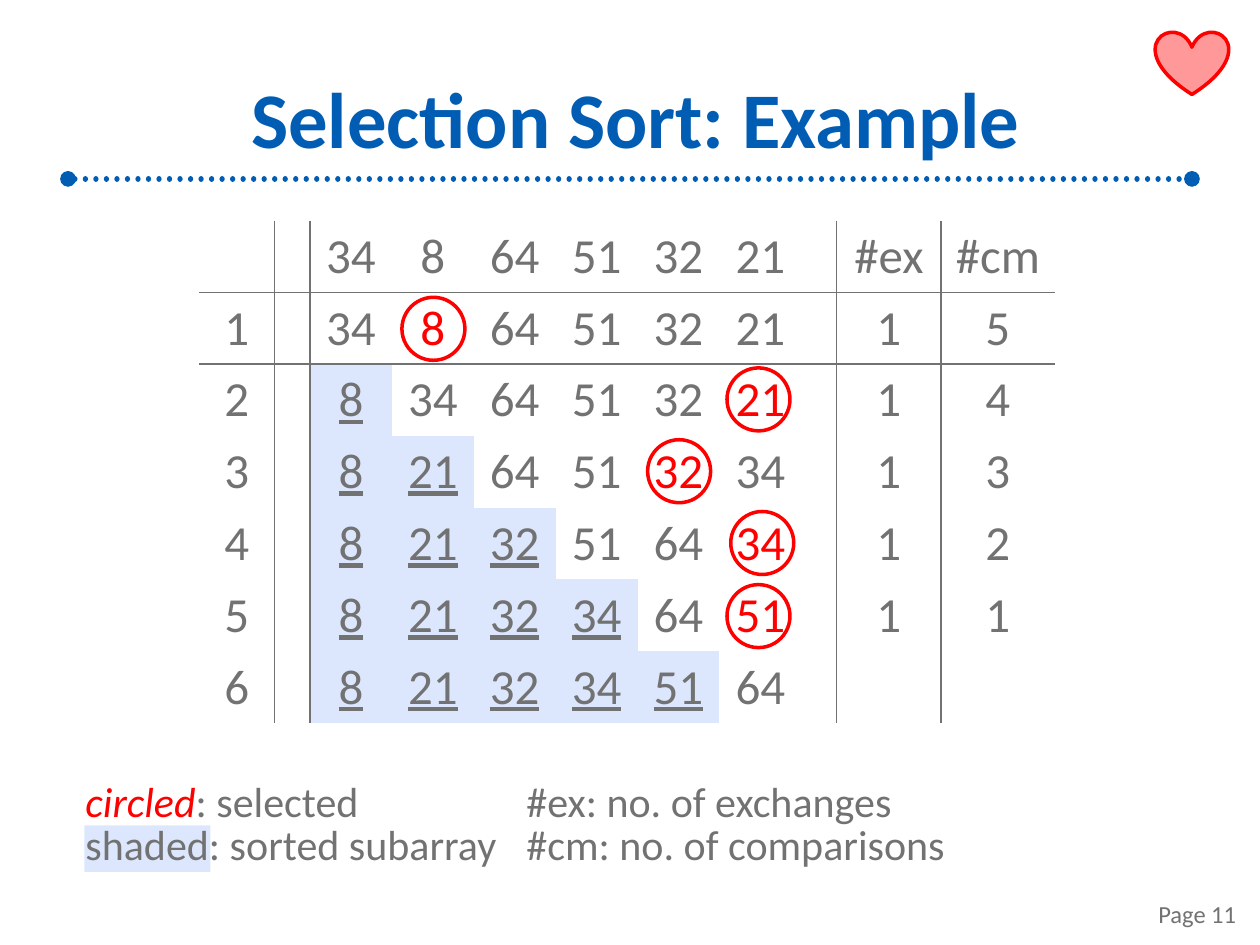
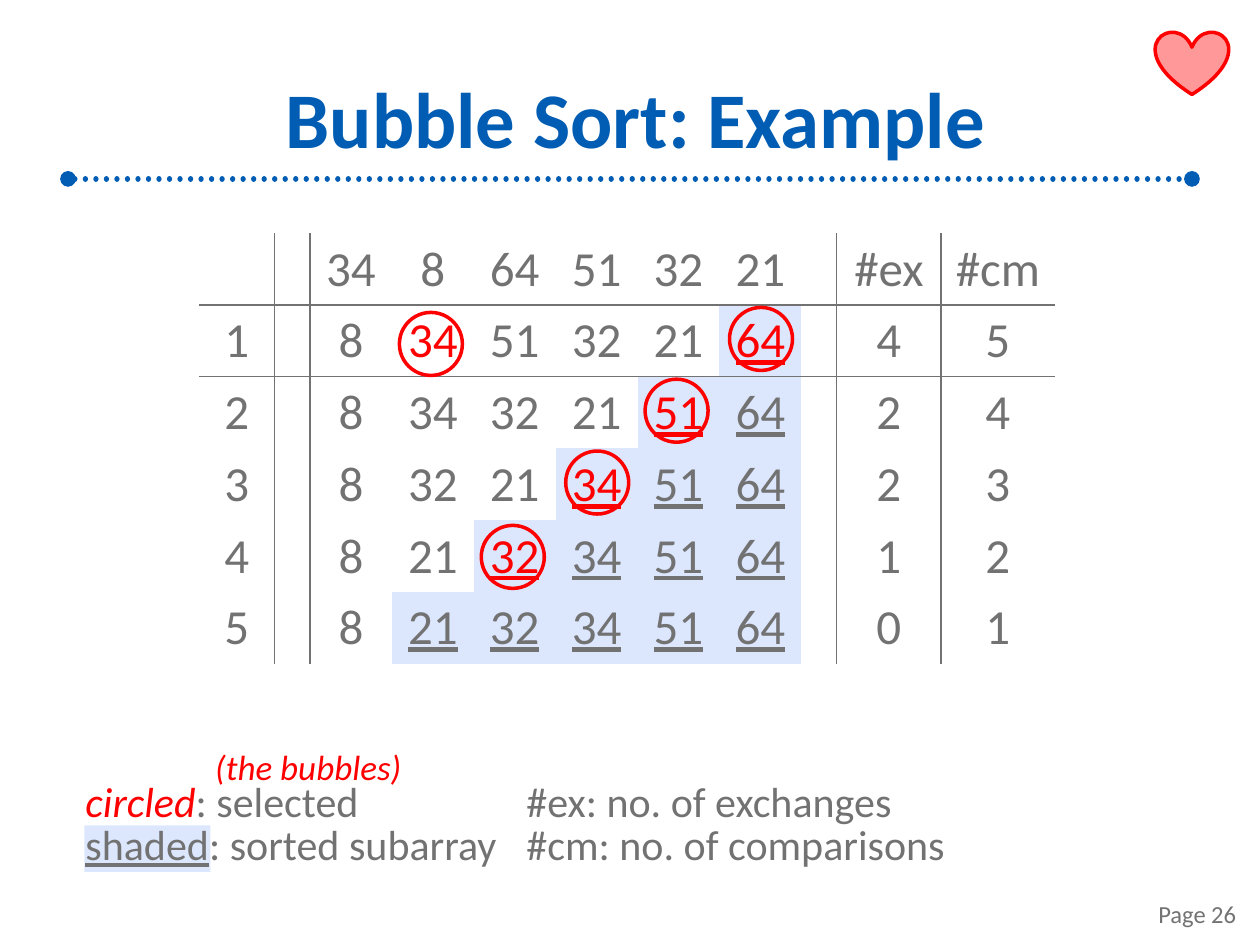
from lxml.etree import SubElement
from pptx import Presentation
from pptx.dml.color import RGBColor
from pptx.enum.dml import MSO_LINE
from pptx.enum.shapes import MSO_CONNECTOR, MSO_SHAPE
from pptx.enum.text import MSO_ANCHOR, MSO_AUTO_SIZE, PP_ALIGN
from pptx.oxml.ns import qn
from pptx.util import Inches, Pt

BLUE = RGBColor(0x00, 0x5D, 0xB3)
GREY = RGBColor(0x72, 0x72, 0x72)
RED = RGBColor(0xFF, 0x00, 0x00)
PINK = RGBColor(0xFF, 0x99, 0x99)
SHADE = RGBColor(0xDC, 0xE7, 0xFE)
FONT = "Calibri"

WIDTHS = [0.6, 0.28] + [0.65] * 6 + [0.28, 0.83, 0.9]
ROW_H = 0.57
RULED_COLS = (0, 1, 8, 9)  # columns with a line on their right
RULED_ROWS = (0, 1)        # rows with a line below
FIRST = 2                  # column of the first number
HEAD = ("", "34 8 64 51 32 21", "#ex", "#cm")

# Each row: pass, array, exchanges, comparisons
# Each ring: row, place in the array, left, top
SORTS = [
    {
        "title": "Selection Sort: Example", "page": "Page 11", "top": 1.75,
        "rows": [
            HEAD,
            ("1", "34 8 64 51 32 21", "1", "5"),
            ("2", "8 34 64 51 32 21", "1", "4"),
            ("3", "8 21 64 51 32 34", "1", "3"),
            ("4", "8 21 32 51 64 34", "1", "2"),
            ("5", "8 21 32 34 64 51", "1", "1"),
            ("6", "8 21 32 34 51 64", "", ""),
        ],
        "done": lambda row, place: place < row - 1,
        "rings": [(1, 1, 3.19, 2.36), (2, 5, 5.77, 2.92), (3, 4, 5.14, 3.49),
                  (4, 5, 5.8, 4.06), (5, 5, 5.77, 4.64)],
        "bubbles": False,
    },
    {
        "title": "Bubble Sort: Example", "page": "Page 26", "top": 1.85,
        "rows": [
            HEAD,
            ("1", "8 34 51 32 21 64", "4", "5"),
            ("2", "8 34 32 21 51 64", "2", "4"),
            ("3", "8 32 21 34 51 64", "2", "3"),
            ("4", "8 21 32 34 51 64", "1", "2"),
            ("5", "8 21 32 34 51 64", "0", "1"),
        ],
        "done": lambda row, place: place >= 6 - row,
        "rings": [(1, 1, 3.17, 2.48), (1, 5, 5.79, 2.44), (2, 4, 5.12, 3.01),
                  (3, 3, 4.49, 3.58), (4, 2, 3.82, 4.17)],
        "bubbles": True,
    },
]


def add_note(slide, box, lines, size):
    """Add a text box; each line is a list of (text, color, italic, underline)."""
    note = slide.shapes.add_textbox(*map(Inches, box))
    frame = note.text_frame
    frame.word_wrap = False
    frame.auto_size = MSO_AUTO_SIZE.SHAPE_TO_FIT_TEXT
    para = frame.paragraphs[0]
    para.line_spacing = 0.85
    for num, line in enumerate(lines):
        if num:
            para.add_line_break()
        for text, color, italic, under in line:
            run = para.add_run()
            run.text = text
            run.font.name, run.font.size = FONT, Pt(size)
            run.font.color.rgb = color
            run.font.italic, run.font.underline = italic, under


def add_mark(slide, kind, box, fill, line):
    """Add a plain shape, with fill or line left out when None."""
    mark = slide.shapes.add_shape(kind, *map(Inches, box))
    mark.shadow.inherit = False
    if fill is None:
        mark.fill.background()
    else:
        mark.fill.solid()
        mark.fill.fore_color.rgb = fill
    if line is None:
        mark.line.fill.background()
    else:
        mark.line.color.rgb = line
        mark.line.width = Pt(2)


deck = Presentation()
deck.slide_width, deck.slide_height = Inches(10), Inches(7.5)

for sort in SORTS:
    slide = deck.slides.add_slide(deck.slide_layouts[5])

    # Dotted rule under the title
    rule = slide.shapes.add_connector(
        MSO_CONNECTOR.STRAIGHT, Inches(0.54), Inches(1.42), Inches(9.46), Inches(1.42))
    rule.line.color.rgb = BLUE
    rule.line.width = Pt(3)
    rule.line.dash_style = MSO_LINE.ROUND_DOT
    props = rule._element.spPr
    line = props.find(qn("a:ln"))
    line.set("cap", "rnd")
    for end in ("a:headEnd", "a:tailEnd"):
        SubElement(line, qn(end), type="oval")
    SubElement(props, qn("a:effectLst"))

    # Title
    title = slide.shapes.title
    title.left, title.top = Inches(0.67), Inches(0.42)
    title.width, title.height = Inches(8.75), Inches(1.01)
    frame = title.text_frame
    frame.text = sort["title"]
    frame.vertical_anchor = MSO_ANCHOR.MIDDLE
    frame.margin_left = frame.margin_right = Inches(0.04)
    frame.margin_top = frame.margin_bottom = Inches(0.04)
    para = frame.paragraphs[0]
    para.alignment = PP_ALIGN.CENTER
    font = para.runs[0].font
    font.name, font.size, font.bold = FONT, Pt(45), True
    font.color.rgb = BLUE

    # Page number
    page = slide.shapes.add_textbox(Inches(7.58), Inches(6.9), Inches(2.33), Inches(0.52))
    frame = page.text_frame
    frame.word_wrap = True
    frame.vertical_anchor = MSO_ANCHOR.BOTTOM
    frame.text = sort["page"]
    para = frame.paragraphs[0]
    para.alignment = PP_ALIGN.RIGHT
    font = para.runs[0].font
    font.name, font.size = FONT, Pt(14)
    font.color.rgb = GREY

    # Table of passes
    rows = sort["rows"]
    grid = slide.shapes.add_table(
        len(rows), len(WIDTHS), Inches(1.58), Inches(sort["top"]),
        Inches(sum(WIDTHS)), Inches(ROW_H * len(rows))).table
    grid.first_row = grid.horz_banding = False
    for col, width in enumerate(WIDTHS):
        grid.columns[col].width = Inches(width)
    chosen = {(row, place + FIRST) for row, place, left, top in sort["rings"]}
    for row, (step, nums, swaps, tests) in enumerate(rows):
        grid.rows[row].height = Inches(ROW_H)
        for col, text in enumerate([step, "", *nums.split(), "", swaps, tests]):
            cell = grid.cell(row, col)
            done = row > 0 and FIRST <= col < FIRST + 6 and sort["done"](row, col - FIRST)

            # Borders
            props = cell._tc.get_or_add_tcPr()
            for side, drawn in (("L", col - 1 in RULED_COLS), ("R", col in RULED_COLS),
                                ("T", row - 1 in RULED_ROWS), ("B", row in RULED_ROWS)):
                edge = SubElement(props, qn("a:ln" + side), w=str(Pt(1)))
                if drawn:
                    fill = SubElement(edge, qn("a:solidFill"))
                    SubElement(fill, qn("a:srgbClr"), val=str(GREY))
                else:
                    SubElement(edge, qn("a:noFill"))

            # Fill and text
            if done:
                cell.fill.solid()
                cell.fill.fore_color.rgb = SHADE
            else:
                cell.fill.background()
            para = cell.text_frame.paragraphs[0]
            para.text = text
            para.alignment = PP_ALIGN.CENTER
            for run in para.runs:
                run.font.name, run.font.size = FONT, Pt(28)
                run.font.color.rgb = RED if (row, col) in chosen else GREY
                run.font.underline = done

    # Rings round the selected numbers
    for row, place, left, top in sort["rings"]:
        add_mark(slide, MSO_SHAPE.OVAL, (left, top, 0.5, 0.5), None, RED)

    # Legend
    add_mark(slide, MSO_SHAPE.RECTANGLE, (0.67, 6.55, 1, 0.37), SHADE, None)
    add_note(slide, (0.58, 6.17, 3.5, 0.79), [
        [("circled", RED, True, False), (": selected", GREY, False, False)],
        [("shaded", GREY, False, sort["bubbles"]),
         (": sorted subarray", GREY, False, False)],
    ], 24)
    add_note(slide, (4.08, 6.17, 3.55, 0.79), [
        [("#ex: no. of exchanges", GREY, False, False)],
        [("#cm: no. of comparisons", GREY, False, False)],
    ], 24)
    if sort["bubbles"]:
        add_note(slide, (1.61, 5.92, 1.72, 0.39),
                 [[("(the bubbles)", RED, True, False)]], 20)

    # Heart in the corner
    add_mark(slide, MSO_SHAPE.HEART, (9.17, 0.25, 0.58, 0.5), PINK, RED)

deck.save("out.pptx")
